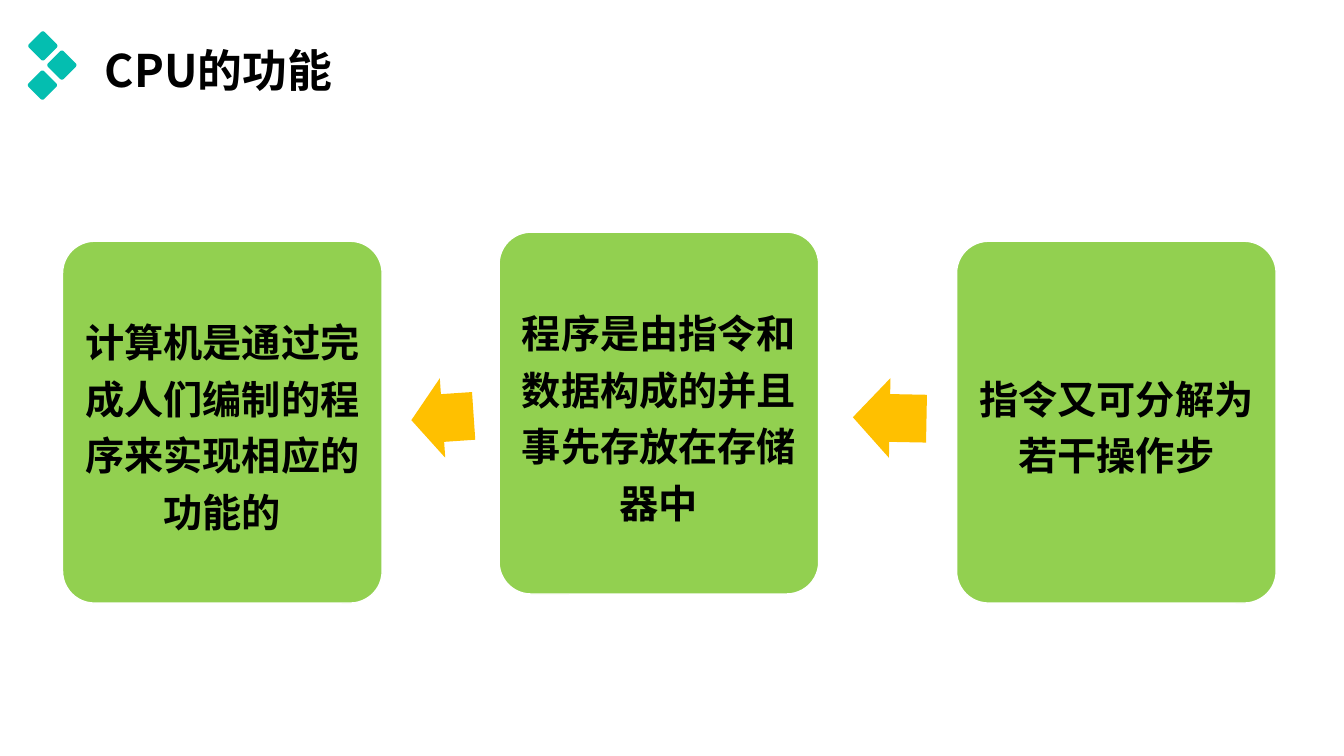
from dataclasses import dataclass

from pptx import Presentation
from pptx.dml.color import RGBColor
from pptx.enum.shapes import MSO_SHAPE as Preset
from pptx.enum.text import MSO_ANCHOR as Anchor, PP_ALIGN as Align
from pptx.oxml.ns import qn
from pptx.util import Pt


@dataclass(frozen=True)
class Theme:
    font: str = "Noto Sans CJK SC"
    ink: RGBColor = RGBColor.from_string("000000")
    edge: RGBColor = RGBColor.from_string("FFFFFF")
    card: RGBColor = RGBColor.from_string("92D050")
    arrow: RGBColor = RGBColor.from_string("FFC000")
    emblem: RGBColor = RGBColor.from_string("04BEB0")
    title_size: int = 32
    card_size: int = 28


THEME = Theme()

STEPS = [
    (0, 6.5, "计算机是通过完成人们编制的程序来实现相应的功能的"),
    (311.8, 0, "程序是由指令和数据构成的并且事先存放在存储器中"),
    (638.6, 6.5, "指令又可分解为若干操作步"),
]
ARROWS = [(249.1, 44.6, 176.1), (564.5, 52.6, 181.1)]


def style_text(frame, size, spacing):
    frame.word_wrap = True
    frame.vertical_anchor = Anchor.MIDDLE
    paragraph = frame.paragraphs[0]
    paragraph.line_spacing = spacing
    for run in paragraph.runs:
        run.font.name = THEME.font
        run.font.size = Pt(size)
        run.font.bold = True
        run.font.color.rgb = THEME.ink
        east_asian = run.font._element.makeelement(qn("a:ea"), {"typeface": THEME.font})
        run.font._element.find(qn("a:latin")).addnext(east_asian)


def add_block(slide, preset, left, top, width, height, color):
    block = slide.shapes.add_shape(preset, Pt(left), Pt(top), Pt(width), Pt(height))
    block.shadow.inherit = False
    block.fill.solid()
    block.fill.fore_color.rgb = color
    block.line.fill.background()
    return block


def add_heading(slide, left, top, width, height):
    heading = slide.shapes.title
    heading.left, heading.top = Pt(left), Pt(top)
    heading.width, heading.height = Pt(width), Pt(height)
    heading.text_frame.text = "CPU的功能"
    heading.text_frame.paragraphs[0].alignment = Align.LEFT
    style_text(heading.text_frame, THEME.title_size, 0.9)


def add_emblem(slide, left, top):
    side = 15.8
    for dx, dy in [(0.3, 0), (13.9, 13.7), (0, 28)]:
        tile = add_block(slide, Preset.ROUNDED_RECTANGLE,
                         left + dx, top + dy, side, side, THEME.emblem)
        tile.adjustments[0] = 0.11
        tile.rotation = 45


def add_card(slide, left, top, width, height, wording):
    card = add_block(slide, Preset.ROUNDED_RECTANGLE, left, top, width, height, THEME.card)
    card.adjustments[0] = 0.1
    card.line.color.rgb = THEME.edge
    card.line.width = Pt(1)
    frame = card.text_frame
    frame.margin_left = frame.margin_right = Pt(8.5)
    frame.margin_top = frame.margin_bottom = Pt(8.5)
    frame.text = wording
    frame.paragraphs[0].alignment = Align.CENTER
    style_text(frame, THEME.card_size, 1.2)


def add_flow(slide, left, top):
    for dx, dy, wording in STEPS:
        add_card(slide, left + dx, top + dy, 228.3, 258.5, wording)
    for dx, width, angle in ARROWS:
        arrow = add_block(slide, Preset.RIGHT_ARROW,
                          left + dx, top + 104.3, width, 56.9, THEME.arrow)
        arrow.adjustments[0] = 0.6
        arrow.adjustments[1] = 0.5
        arrow.rotation = angle


def main():
    deck = Presentation()
    deck.slide_width, deck.slide_height = Pt(960), Pt(540)
    slide = deck.slides.add_slide(deck.slide_layouts.get_by_name("Title Only"))
    add_heading(slide, 67.7, 22.3, 325.4, 59.8)
    add_flow(slide, 44.7, 165.8)
    add_emblem(slide, 22.4, 24.9)
    deck.save("out.pptx")


if __name__ == "__main__":
    main()
